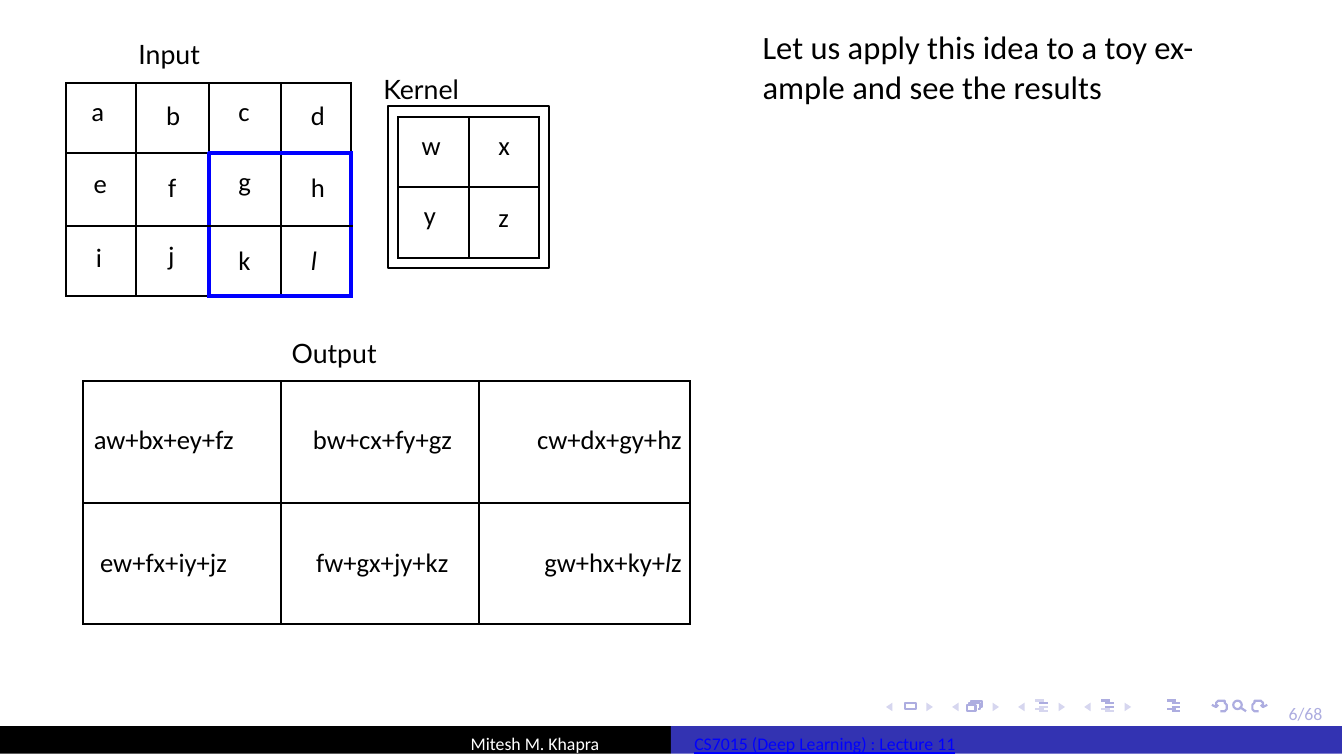
"""Build the slide that convolves a toy input with a kernel."""
import pptx
import pptx.dml.color
import pptx.enum.shapes
import pptx.enum.text
import pptx.oxml
import pptx.oxml.ns
import pptx.util

Inches = pptx.util.Inches
Align = pptx.enum.text.PP_ALIGN
Shape = pptx.enum.shapes.MSO_SHAPE

COLORS = {"black": "000000", "white": "FFFFFF", "blue": "0000FF",
          "bar": "3333B2", "icon": "ADADE0", "faint": "D6D6EF"}

INPUT = [
    [("a", 0.12, 0.06), ("b", 0.14, 0.08), ("c", 0.14, 0.06), ("d", 0.14, 0.08)],
    [("e", 0.13, 0.07), ("f", 0.15, 0.09), ("g", 0.14, 0.06), ("h", 0.14, 0.09)],
    [("i", 0.14, 0.08), ("j", 0.15, 0.07), ("k", 0.14, 0.09), ("*l*", 0.14, 0.09)],
]
KERNEL = [
    [("w", 0.11, 0.06), ("x", 0.14, 0.06)],
    [("y", 0.12, 0.06), ("z", 0.14, 0.07)],
]
OUTPUT = [
    [("aw+bx+ey+fz", 0.05, 0.2), ("bw+cx+fy+gz", 0.02, 0.2), ("cw+dx+gy+hz", 0, 0.2)],
    [("ew+fx+iy+jz", 0.08, 0.21), ("fw+gx+jy+kz", 0.02, 0.21), ("gw+hx+ky+*l*z", 0, 0.21)],
]
WINDOW = {(row, column) for row in (1, 2) for column in (2, 3)}
SIDES = {"L": (0, -1), "R": (0, 1), "T": (-1, 0), "B": (1, 0)}

TITLE = "Let us apply this idea to a toy ex-\vample and see the results"
LABELS = [("Output", 1.36, 1.57, 0.41), ("Input", 0.64, 0.17, 0.31),
          ("Kernel", 1.79, 0.33, 0.37)]
BARS = [(0, "black"), (3.15, "bar")]
FOOTERS = [("6/68", 6.04, 3.29, 0.23, "icon", False),
           ("Mitesh M. Khapra", 2.2, 3.43, 0.85, "white", False),
           ("CS7015 (Deep Learning) : Lecture 11", 3.25, 3.43, 1.7, "blue", True)]

NAV_LEFT, NAV_STEP = 4.16, 0.31
STRIPES = [(0, 3.29), (0.02, 3.3), (0.02, 3.32), (0, 3.33), (0.02, 3.34)]
STRIPE_ICONS = [(4.86, {1}), (5.17, {0, 1, 2}), (5.48, {0, 1, 2, 3, 4})]
PAGES = [
    [(4.54, 3.34), (4.58, 3.34), (4.58, 3.31), (4.54, 3.31), (4.54, 3.34)],
    [(4.55, 3.31), (4.55, 3.3), (4.6, 3.3), (4.6, 3.33), (4.59, 3.33)],
    [(4.56, 3.3), (4.56, 3.29), (4.61, 3.29), (4.61, 3.32), (4.6, 3.32)],
]
UNDO = [
    [(5.73, 3.34), (5.74, 3.34), (5.75, 3.34), (5.76, 3.33), (5.76, 3.32),
     (5.76, 3.31), (5.75, 3.3), (5.75, 3.29), (5.73, 3.29), (5.72, 3.29),
     (5.71, 3.3), (5.71, 3.31), (5.71, 3.32)],
    [(5.72, 3.31), (5.71, 3.32), (5.69, 3.31)],
]
MIRROR = 5.82


def rgb(name):
    return pptx.dml.color.RGBColor.from_string(COLORS[name])


def write(frame, text, size=9, font="Calibri", color="black", align=Align.LEFT,
          spacing=None, underline=None):
    """Write text where *stars* mark italics and a vertical tab breaks the line."""
    para = frame.paragraphs[0]
    para.alignment = align
    para.line_spacing = spacing
    for number, line in enumerate(text.split("\v")):
        if number:
            para.add_line_break()
        for index, part in enumerate(line.split("*")):
            if part:
                span = para.add_run()
                span.text = part
                span.font.size = pptx.util.Pt(size)
                span.font.name = font
                span.font.bold = False
                span.font.italic = index % 2 == 1
                span.font.underline = underline
                span.font.color.rgb = rgb(color)


def set_margins(frame, top):
    frame.margin_left = Inches(0.01)
    frame.margin_right = frame.margin_bottom = 0
    frame.margin_top = Inches(top)
    frame.vertical_anchor = pptx.enum.text.MSO_ANCHOR.TOP
    frame.auto_size = pptx.enum.text.MSO_AUTO_SIZE.NONE


def add_text(page, text, left, top, width, height, inset=0, **style):
    box = page.shapes.add_textbox(*map(Inches, (left, top, width, height)))
    box.text_frame.word_wrap = False
    set_margins(box.text_frame, inset)
    write(box.text_frame, text, **style)


def paint(shape, fill=None, line=None):
    shape.shadow.inherit = False
    if fill:
        shape.fill.solid()
        shape.fill.fore_color.rgb = rgb(fill)
    else:
        shape.fill.background()
    if line:
        shape.line.color.rgb = rgb(line)
        shape.line.width = pptx.util.Pt(0.75)
    else:
        shape.line.fill.background()


def add_preset(page, kind, left, top, width, height, **style):
    paint(page.shapes.add_shape(kind, *map(Inches, (left, top, width, height))), **style)


def add_outline(page, strokes, close=False, **style):
    strokes = [[(Inches(x), Inches(y)) for x, y in stroke] for stroke in strokes]
    builder = page.shapes.build_freeform(*strokes[0][0])
    for number, stroke in enumerate(strokes):
        if number:
            builder.move_to(*stroke[0])
        builder.add_line_segments(stroke[1:], close=close)
    paint(builder.convert_to_shape(), **style)


def add_line(page, start, end, color):
    line = page.shapes.add_connector(pptx.enum.shapes.MSO_CONNECTOR.STRAIGHT,
                                     *map(Inches, start + end))
    line.line.color.rgb = rgb(color)
    line.line.width = pptx.util.Pt(0.75)
    line._element.spPr.append(pptx.oxml.parse_xml(
        f"<a:effectLst {pptx.oxml.ns.nsdecls('a')}/>"))


def add_border(cell, side, color, width):
    cell._tc.get_or_add_tcPr().append(pptx.oxml.parse_xml(
        f'<a:ln{side} {pptx.oxml.ns.nsdecls("a")} w="{pptx.util.Pt(width)}">'
        f'<a:solidFill><a:srgbClr val="{COLORS[color]}"/></a:solidFill></a:ln{side}>'))


def add_grid(page, content, left, top, widths, heights, window=(), aligns=None):
    table = page.shapes.add_table(len(heights), len(widths), *map(
        Inches, (left, top, sum(widths), sum(heights)))).table
    table.first_row = table.horz_banding = False
    for column, width in zip(table.columns, widths):
        column.width = Inches(width)
    for row, height in zip(table.rows, heights):
        row.height = Inches(height)
    for r, line in enumerate(content):
        for c, (text, indent, inset) in enumerate(line):
            cell = table.cell(r, c)
            align = aligns[c] if aligns else Align.LEFT
            cell.margin_left, cell.margin_top = Inches(indent), Inches(inset)
            cell.margin_right = Inches(0.04 if align == Align.RIGHT else 0)
            cell.margin_bottom = 0
            write(cell.text_frame, text, align=align)
            for side, (down, right) in SIDES.items():
                edge = ((r, c) in window) != ((r + down, c + right) in window)
                add_border(cell, side, *(("blue", 1.5) if edge else ("black", 0.75)))
            cell.fill.background()


def add_navigation(page):
    for step in range(4):
        left = NAV_LEFT + step * NAV_STEP
        arrows = [[(left + back, 3.3), (left + tip, 3.32), (left + back, 3.34)]
                  for back, tip in ((0.03, 0), (0.19, 0.22))]
        add_outline(page, arrows, close=True, fill="faint")
    add_preset(page, Shape.RECTANGLE, 4.25, 3.3, 0.05, 0.03, line="icon")
    add_outline(page, PAGES, line="icon")
    for left, dark in STRIPE_ICONS:
        for index, (shift, y) in enumerate(STRIPES):
            add_line(page, (left + shift, y), (left + shift + 0.04, y),
                     "icon" if index in dark else "faint")
    add_preset(page, Shape.OVAL, 5.79, 3.29, 0.04, 0.04, line="icon")
    add_line(page, (5.82, 3.32), (5.85, 3.34), "icon")
    redo = [[(2 * MIRROR - x, y) for x, y in stroke] for stroke in UNDO]
    add_outline(page, UNDO + redo, line="icon")


def main():
    deck = pptx.Presentation()
    deck.slide_width, deck.slide_height = Inches(6.31), Inches(3.55)
    page = deck.slides.add_slide(deck.slide_layouts[5])
    title = page.shapes.title
    title.left, title.top, title.width, title.height = map(Inches, (3.57, 0.11, 2.48, 0.4))
    set_margins(title.text_frame, 0.01)
    write(title.text_frame, TITLE, size=11, spacing=1.03)
    add_navigation(page)
    add_grid(page, INPUT, 0.31, 0.39, [0.33, 0.34, 0.34, 0.33], [0.33, 0.34, 0.33], WINDOW)
    add_preset(page, Shape.RECTANGLE, 1.82, 0.5, 0.76, 0.76, line="black")
    add_grid(page, KERNEL, 1.87, 0.55, [0.33] * 2, [0.33] * 2)
    add_grid(page, OUTPUT, 0.39, 1.79, [0.93, 0.93, 0.99], [0.57] * 2,
             aligns=[Align.LEFT, Align.CENTER, Align.RIGHT])
    for text, left, top, width in LABELS:
        add_text(page, text, left, top, width, 0.18, inset=0.01, font="Lato")
    for left, color in BARS:
        add_preset(page, Shape.RECTANGLE, left, 3.41, 3.15, 0.13, fill=color)
    for text, left, top, width, color, underline in FOOTERS:
        add_text(page, text, left, top, width, 0.11, size=6, color=color,
                 spacing=1.12, underline=underline)
    deck.save("out.pptx")


if __name__ == "__main__":
    main()
